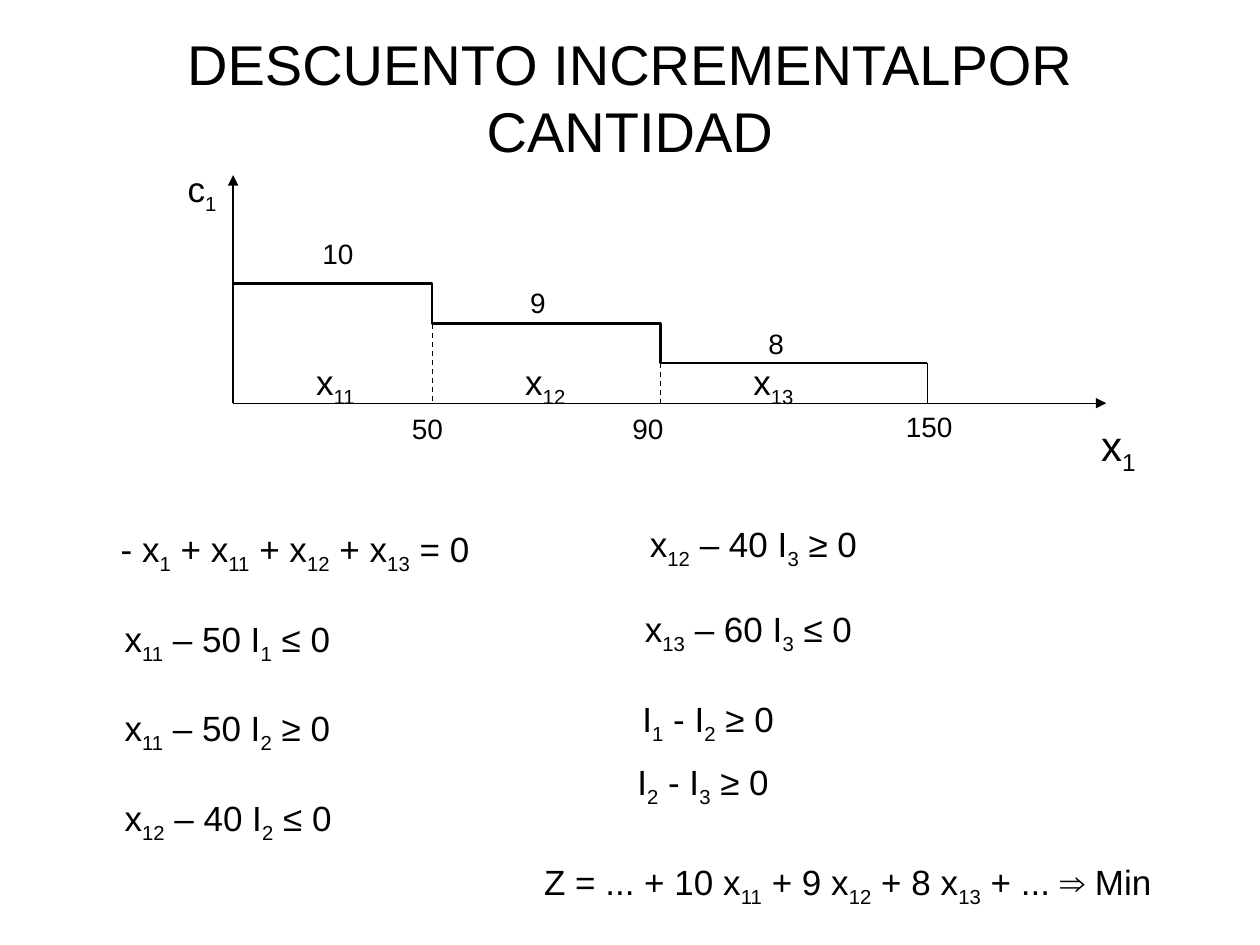
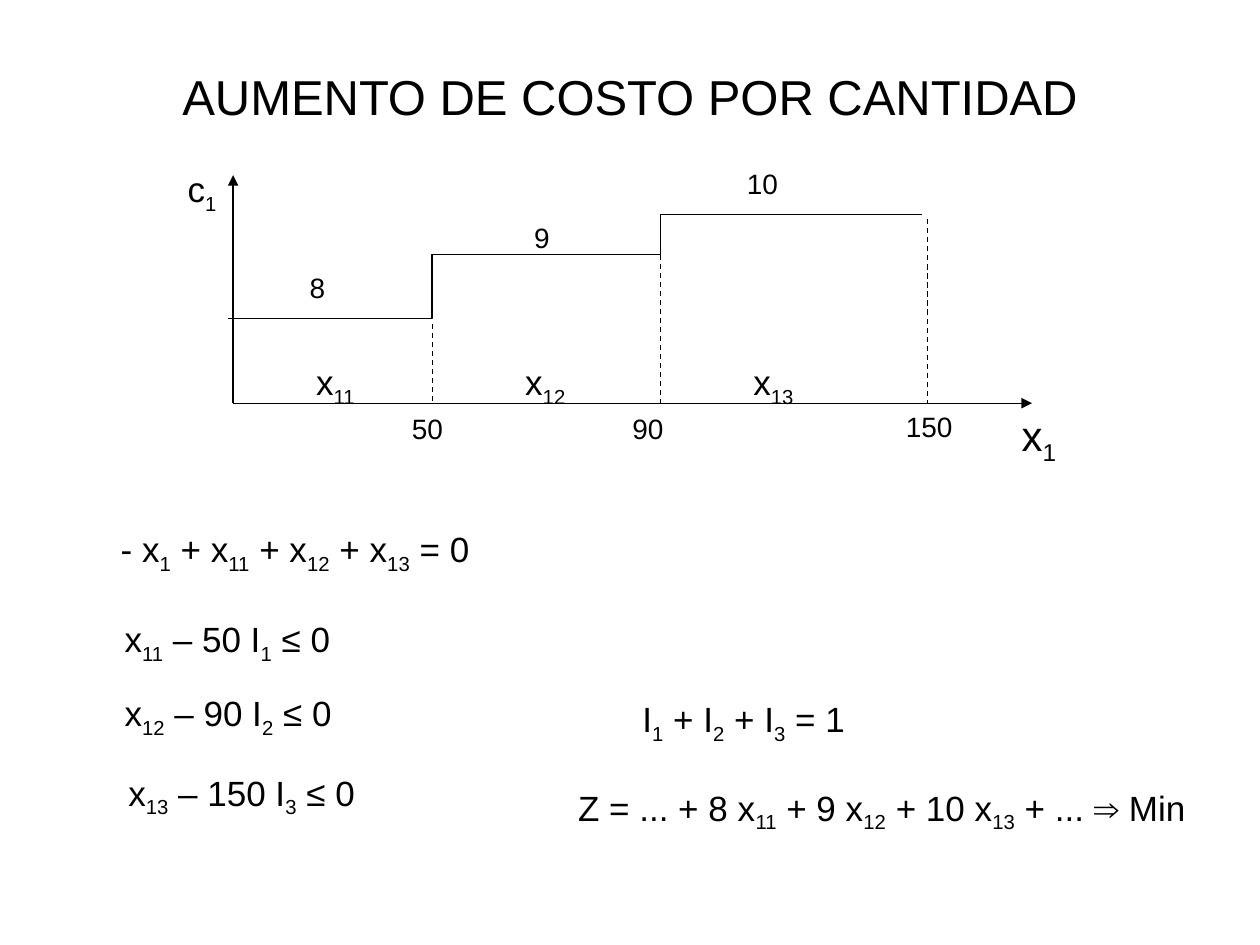
"""Build two slides on incremental quantity pricing: a stepped cost plot and its constraints."""
from pptx import Presentation
from pptx.dml.color import RGBColor
from pptx.enum.dml import MSO_LINE_DASH_STYLE as Dash
from pptx.enum.shapes import MSO_CONNECTOR as Connector
from pptx.enum.text import MSO_ANCHOR as Anchor, MSO_AUTO_SIZE as AutoSize, PP_ALIGN as Align
from pptx.oxml.ns import qn
from pptx.oxml.xmlchemy import OxmlElement
from pptx.util import Inches, Pt

COLORS = {"ink": "000000"}
INK = RGBColor.from_string(COLORS["ink"])
FONT = "Arial"
HEIGHTS = {16: 3.7, 20: 4.8, 24: 5.6}
ORIGIN, BASE, AXIS_TOP = 18.5, 32, 13.9
FIRST, SECOND, LAST = 34.3, 52.4, 73.6
LEFT, RIGHT = 8.9, 50
MARK, FORMULA, WIDE, GOAL = 6.5, 22, 26.8, 52

deck = Presentation()
deck.slide_width, deck.slide_height = Inches(10), Inches(7.5)
COL, ROW = deck.slide_width / 100, deck.slide_height / 75


def write(frame, text, size=20, align=Align.LEFT):
    """Fill a frame with text; parts in braces become subscripts."""
    frame.word_wrap = True
    frame.auto_size = AutoSize.NONE
    para = frame.paragraphs[0]
    para.alignment = align
    for index, part in enumerate(text.replace("}", "{").split("{")):
        if not part:
            continue
        span = para.add_run()
        span.text = part
        span.font.name, span.font.size = FONT, Pt(size)
        span.font.color.rgb = INK
        if index % 2:
            span._r.get_or_add_rPr().set("baseline", "-25000")


def draw_line(page, x1, y1, x2, y2, dashed=False, arrow=False):
    """Draw a thin line between two grid points."""
    line = page.shapes.add_connector(
        Connector.STRAIGHT, int(x1 * COL), int(y1 * ROW), int(x2 * COL), int(y2 * ROW))
    line.line.color.rgb, line.line.width = INK, Pt(0.75)
    if dashed:
        line.line.dash_style = Dash.DASH
    properties = line._element.spPr
    if arrow:
        head = OxmlElement("a:tailEnd")
        head.set("type", "triangle")
        properties.find(qn("a:ln")).append(head)
    properties.append(OxmlElement("a:effectLst"))


shared_labels = [
    ("c{1}", 13.9, 12.8, MARK, 20),
    ("50", 31.7, 32.2, MARK, 16),
    ("90", 49.2, 32.2, MARK, 16),
    ("150", 70.9, 32, MARK, 16),
    ("x{11}", 24.1, 28.1, MARK, 20),
    ("x{12}", 40.7, 28.1, MARK, 20),
    ("x{13}", 58.8, 28.1, MARK, 20),
    ("- x{1} + x{11} + x{12} + x{13} = 0", 8.6, 41.4, 32, 20),
    ("x{11} – 50 I{1} ≤ 0", LEFT, 48.5, FORMULA, 20),
]

plans = [
    {
        "title": "DESCUENTO INCREMENTALPOR CANTIDAD",
        "title_size": 32,
        "axis_end": 87.8,
        "levels": (22.5, 25.7, 28.8),
        "step_span": (ORIGIN, LAST),
        "step_width": 1.5,
        "lines": [
            (FIRST, 25.7, FIRST, BASE, True),
            (SECOND, 28.8, SECOND, BASE, True),
            (LAST, 28.8, LAST, BASE, False),
        ],
        "labels": [
            ("x{1}", 86.4, 32.8, MARK, 24),
            ("10", 24.6, 18.3, MARK, 16),
            ("9", 41.1, 22.2, MARK, 16),
            ("8", 60, 25.4, MARK, 16),
            ("x{11} – 50 I{2} ≥ 0", LEFT, 55.6, FORMULA, 20),
            ("x{12} – 40 I{2} ≤ 0", LEFT, 62.7, FORMULA, 20),
            ("x{12} – 40 I{3} ≥ 0", 50.6, 41, FORMULA, 20),
            ("x{13} – 60 I{3} ≤ 0", 50.2, 47.7, FORMULA, 20),
            ("I{1} - I{2} ≥ 0", RIGHT, 54.9, WIDE, 20),
            ("I{2} - I{3} ≥ 0", 49.6, 59.9, WIDE, 20),
            ("Z = ... + 10 x{11} + 9 x{12} + 8 x{13} + ... ⇒ Min", 42.2, 67.8, GOAL, 20),
        ],
    },
    {
        "title": "AUMENTO DE COSTO POR CANTIDAD",
        "title_size": 28,
        "axis_end": 81.9,
        "levels": (25.3, 20.2, 17),
        "step_span": (18.1, 67.3),
        "step_width": 0.75,
        "lines": [
            (FIRST, 25.7, FIRST, BASE, True),
            (SECOND, 20.2, SECOND, BASE, True),
            (LAST, 17.4, LAST, BASE, True),
            (67.3, 17, 73.2, 17, False),
        ],
        "labels": [
            ("x{1}", 80.1, 32, MARK, 24),
            ("10", 58.3, 12.7, MARK, 16),
            ("9", 41.4, 17, MARK, 16),
            ("8", 23.6, 21, MARK, 16),
            ("x{12} – 90 I{2} ≤ 0", LEFT, 54.4, FORMULA, 20),
            ("x{13} – 150 I{3} ≤ 0", 9.2, 60.7, FORMULA, 20),
            ("I{1} + I{2} + I{3} = 1", RIGHT, 54.9, WIDE, 20),
            ("Z = ... + 8 x{11} + 9 x{12} + 10 x{13} + ... ⇒ Min", 44.9, 61.9, GOAL, 20),
        ],
    },
]

for plan in plans:
    page = deck.slides.add_slide(deck.slide_layouts[5])
    title = page.shapes.title
    title.left, title.top = int(5 * COL), int(3 * ROW)
    title.width, title.height = int(90 * COL), int(9.3 * ROW)
    title.text_frame.vertical_anchor = Anchor.MIDDLE
    write(title.text_frame, plan["title"], size=plan["title_size"], align=Align.CENTER)

    draw_line(page, ORIGIN, BASE, ORIGIN, AXIS_TOP, arrow=True)
    draw_line(page, ORIGIN, BASE, plan["axis_end"], BASE, arrow=True)
    for x1, y1, x2, y2, dashed in plan["lines"]:
        draw_line(page, x1, y1, x2, y2, dashed=dashed)

    start, end = plan["step_span"]
    edges = (start, FIRST, SECOND, end)
    corners = [(int(x * COL), int(level * ROW))
               for index, level in enumerate(plan["levels"])
               for x in edges[index:index + 2]]
    builder = page.shapes.build_freeform(*corners[0], scale=1.0)
    builder.add_line_segments(corners[1:], close=False)
    steps = builder.convert_to_shape()
    steps.shadow.inherit = False
    steps.fill.background()
    steps.line.color.rgb, steps.line.width = INK, Pt(plan["step_width"])

    for text, left, top, width, size in shared_labels + plan["labels"]:
        box = page.shapes.add_textbox(
            int(left * COL), int(top * ROW), int(width * COL), int(HEIGHTS[size] * ROW))
        write(box.text_frame, text, size=size)

deck.save("out.pptx")
